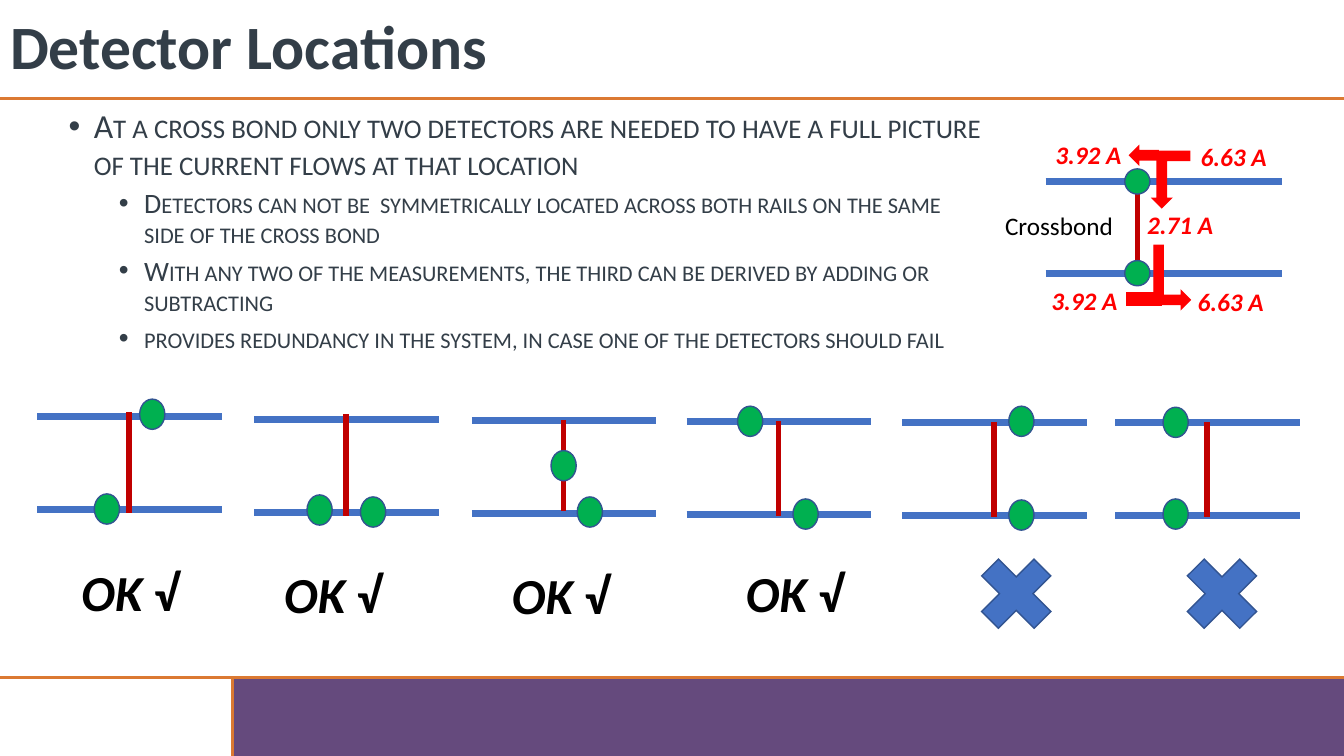
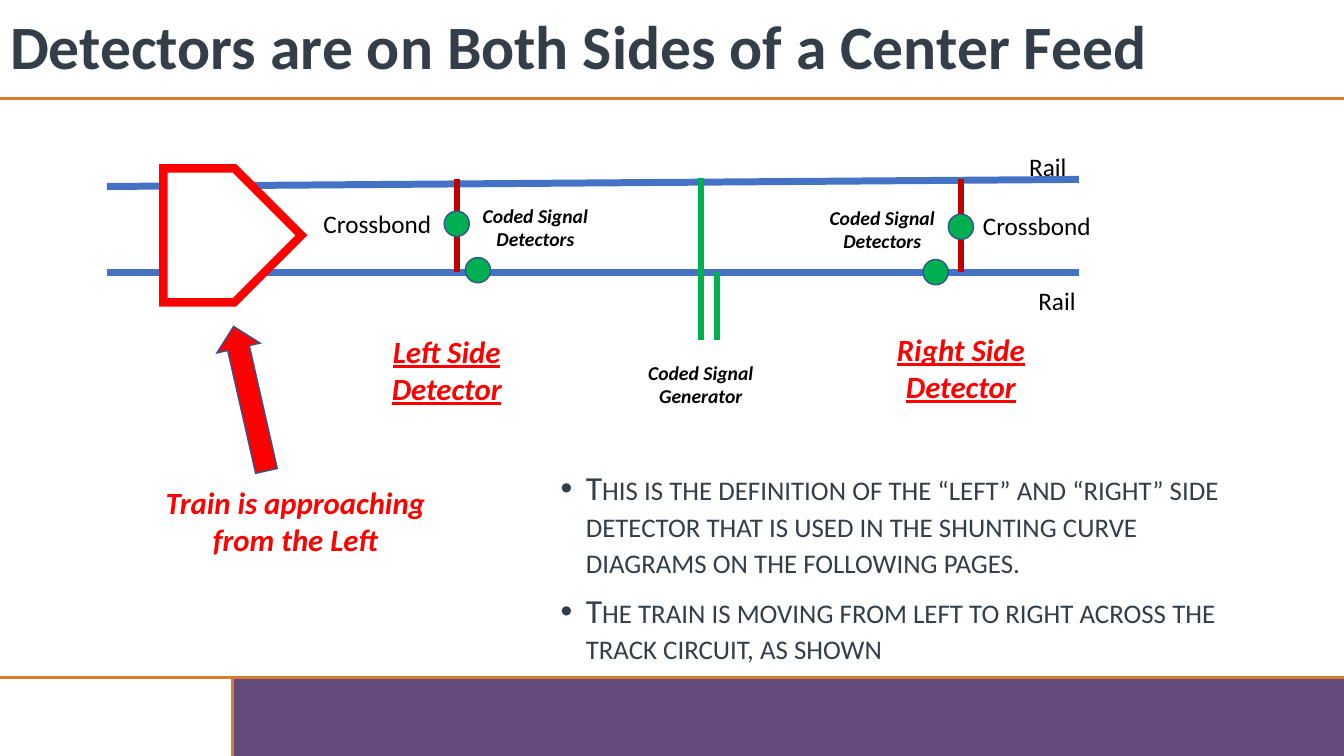
from lxml.etree import SubElement
from pptx import Presentation
from pptx.dml.color import RGBColor
from pptx.enum.shapes import MSO_CONNECTOR, MSO_SHAPE as SHAPE
from pptx.enum.text import MSO_ANCHOR, MSO_AUTO_SIZE, PP_ALIGN as ALIGN
from pptx.oxml.ns import qn
from pptx.util import Pt

PX = 9144  # 100 px to the inch
WIDTH, HEIGHT = 1333, 750
FONT = "Calibri"

WHITE = RGBColor(0xFF, 0xFF, 0xFF)
BLACK = RGBColor(0x00, 0x00, 0x00)
SLATE = RGBColor(0x33, 0x3E, 0x48)
PURPLE = RGBColor(0x65, 0x4A, 0x7D)
ORANGE = RGBColor(0xDB, 0x79, 0x32)
BLUE = RGBColor(0x44, 0x72, 0xC4)
NAVY = RGBColor(0x32, 0x54, 0x91)
GREEN = RGBColor(0x00, 0xB0, 0x50)
DARK_RED = RGBColor(0xC0, 0x00, 0x00)
RED = RGBColor(0xFF, 0x00, 0x00)

RAIL_PT, BOND_PT, RULE_PT = 5, 4, 2.25

# Shared frame
FOOTER_BAND = (230, 672, 1104, 78)
RULES = [(0, 98, WIDTH, 98), (231, 672, 231, HEIGHT), (0, 672, WIDTH, 672)]
TITLE_BOX = (0, 0, WIDTH, 99)

# Bullet levels: size, left margin px, space before pt
LEVELS = [(24, 25, 10), (20, 75, 5)]
HANGING = 25

# Slide 1
LOCATIONS_TITLE = "Detector Locations"
LOCATIONS_BOX = (58, 104, 927, 253)
LOCATIONS_BULLETS = [
    (0, "At a cross bond only two detectors are needed to have a full picture "
        "of the current flows at that location"),
    (1, "Detectors can not be  symmetrically located across both rails on the "
        "same side of the cross bond"),
    (1, "With any two of the measurements, the third can be derived by adding "
        "or subtracting"),
    (1, "provides redundancy in the system, in case one of the detectors "
        "should fail"),
]
CASE_RAIL, CASE_GAUGE = 183, 92
# Rail left and top; bond ends below the top rail; detector centres measured
# from the top of the bond; verdict and its place
CASES = [
    (37, 413, (-4, 96), [(-22, 92), (23, -2)], True, (71, 552)),
    (252, 416, (-5, 96), [(27, 92), (-26, 90)], True, (272, 554)),
    (468, 417, (0, 90), [(26, 91), (0, 45)], True, (498, 555)),
    (681, 418, (0, 94), [(27, 92), (-28, 0)], True, (730, 553)),
    (895, 419, (0, 94), [(27, 92), (27, -1)], False, (958, 539)),
    (1106, 419, (0, 94), [(-31, 91), (-31, 0)], False, (1162, 539)),
]
FLOW_RAILS = (180, 271)
FLOW_LEFT, FLOW_RIGHT, FLOW_BOND = 1037, 1272, 1128
CURRENTS = [("2.71 A", 1128, 203), ("6.63 A", 1181, 135), ("6.63 A", 1178, 279),
            ("3.92 A", 1033, 278), ("3.92 A", 1037, 133)]
FLOW_ARROWS = [
    (SHAPE.UP_ARROW, (1124, 139, 21, 30), 270),
    (SHAPE.BENT_UP_ARROW, (1143, 150, 37, 56), 180),
    (SHAPE.BENT_UP_ARROW, (1131, 257, 63, 36), 90),
    (SHAPE.RECTANGLE, (1117, 290, 35, 13), 0),
]

# Slide 2
FEED_TITLE = "Detectors are on Both Sides of a Center Feed"
FEED_BOX = (546, 463, 694, 191)
FEED_BULLETS = [
    (0, "This is the definition of the “left” and “right” side detector that "
        "is used in the shunting curve diagrams on the following pages."),
    (0, "The train is moving from left to right across the track circuit, "
        "as shown"),
]
FEED_LINES = [
    ((106, 185, 1070, 178), BLUE, RAIL_PT),
    ((106, 270, 1070, 270), BLUE, RAIL_PT),
    ((453, 178, 453, 270), DARK_RED, BOND_PT),
    ((953, 178, 953, 270), DARK_RED, BOND_PT),
    ((695, 177, 695, 337), GREEN, BOND_PT),
    ((711, 270, 711, 337), GREEN, BOND_PT),
]
FEED_DETECTORS = [(453, 222), (953, 225), (474, 268), (928, 270)]
PLAIN = dict(size=18)
CODED = dict(size=14, bold=True, italic=True, align=ALIGN.CENTER)
CALLOUT = dict(size=22, color=RED, bold=True, italic=True, align=ALIGN.CENTER)
SIDE = dict(CALLOUT, underline=True)
FEED_LABELS = [
    ("Rail", (1011, 145, 83, 40), PLAIN),
    ("Rail", (1020, 278, 83, 40), PLAIN),
    ("Crossbond", (965, 204, 132, 40), PLAIN),
    ("Crossbond", (311, 202, 132, 40), PLAIN),
    ("Coded Signal Generator", (629, 353, 132, 57), CODED),
    ("Coded Signal Detectors", (465, 197, 132, 57), CODED),
    ("Coded Signal Detectors", (809, 199, 132, 57), CODED),
    ("Left Side Detector", (377, 325, 132, 84), SIDE),
    ("Right Side Detector", (875, 323, 156, 84), SIDE),
    ("Train is approaching from the Left", (145, 475, 296, 84), CALLOUT),
]
TRAIN = (162, 167, 137, 133)
TRAIN_POINTER = (226, 322, 44, 147)


def emu(lengths):
    return [length * PX for length in lengths]


def place(shape, box):
    shape.left, shape.top, shape.width, shape.height = emu(box)


def line(slide, ends, color, weight):
    connector = slide.shapes.add_connector(MSO_CONNECTOR.STRAIGHT, *emu(ends))
    connector.line.color.rgb = color
    connector.line.width = Pt(weight)
    SubElement(connector._element.spPr, qn("a:effectLst"))
    return connector


def solid(slide, kind, box, fill, edge=None, weight=1, rotation=0):
    shape = slide.shapes.add_shape(kind, *emu(box))
    shape.shadow.inherit = False
    shape.rotation = rotation
    shape.fill.solid()
    shape.fill.fore_color.rgb = fill
    if edge is None:
        shape.line.fill.background()
    else:
        shape.line.color.rgb = edge
        shape.line.width = Pt(weight)
        SubElement(shape.line._get_or_add_ln(), qn("a:miter"), lim="800000")
    return shape


def detector(slide, x, y, height=25):
    """Green dot centred on x, y."""
    solid(slide, SHAPE.OVAL, (x - 12.5, y - height / 2, 25, height), GREEN, NAVY)


def style(paragraph, size, color=BLACK, bold=None, italic=None,
          underline=None, align=None):
    font = paragraph.font
    font.name, font.size, font.color.rgb = FONT, Pt(size), color
    font.bold, font.italic, font.underline = bold, italic, underline
    paragraph.alignment = align


def label(slide, text, box, **look):
    frame = slide.shapes.add_textbox(*emu(box)).text_frame
    frame.word_wrap = True
    frame.auto_size = MSO_AUTO_SIZE.SHAPE_TO_FIT_TEXT
    paragraph = frame.paragraphs[0]
    paragraph.add_run().text = text
    style(paragraph, **look)
    return paragraph


def frame_layout(layout, slide):
    """Draw band and rules on the slide, then move them to its layout."""
    parts = [solid(slide, SHAPE.RECTANGLE, FOOTER_BAND, PURPLE)]
    parts += [line(slide, ends, ORANGE, RULE_PT) for ends in RULES]
    for number, part in enumerate(parts, 101):
        part._element._nvXxPr.cNvPr.set("id", str(number))
        layout.shapes._spTree.append(part._element)


def fill_bullets(body, box, bullets):
    place(body, box)
    frame = body.text_frame
    frame.auto_size = MSO_AUTO_SIZE.NONE
    for index, (level, text) in enumerate(bullets):
        paragraph = frame.add_paragraph() if index else frame.paragraphs[0]
        size, margin, before = LEVELS[level]
        paragraph.text = text
        paragraph.level = level
        paragraph.line_spacing = 0.9
        paragraph.space_before = Pt(before)
        style(paragraph, size, SLATE)
        properties = paragraph._p.get_or_add_pPr()
        properties.set("marL", str(margin * PX))
        properties.set("indent", str(-HANGING * PX))
        default_run = properties.find(qn("a:defRPr"))
        default_run.set("cap", "small")
        bullet = SubElement(properties, qn("a:buChar"), char="•")
        default_run.addprevious(bullet)


def new_slide(deck, layout, title, box, bullets):
    slide = deck.slides.add_slide(layout)
    heading = slide.shapes.title
    heading.text_frame.text = title
    heading.text_frame.auto_size = MSO_AUTO_SIZE.NONE
    heading.text_frame.vertical_anchor = MSO_ANCHOR.MIDDLE
    paragraph = heading.text_frame.paragraphs[0]
    paragraph.line_spacing = 0.9
    style(paragraph, 44, SLATE, bold=True, align=ALIGN.LEFT)
    fill_bullets(slide.placeholders[1], box, bullets)
    return slide


def draw_case(slide, left, top, bond_ends, detectors, allowed, verdict_at):
    for y in (top, top + CASE_GAUGE):
        line(slide, (left, y, left + CASE_RAIL, y), BLUE, RAIL_PT)
    bond = left + CASE_RAIL // 2
    start, end = bond_ends
    line(slide, (bond, top + start, bond, top + end), DARK_RED, BOND_PT)
    for dx, dy in detectors:
        detector(slide, bond + dx, top + dy, 30)
    if allowed:
        verdict = label(slide, "OK ", (*verdict_at, 134, 71), size=36, bold=True)
        verdict.runs[0].font.italic = True
        verdict.add_run().text = "√"
    else:
        solid(slide, SHAPE.MATH_MULTIPLY, (*verdict_at, 100, 100), BLUE, NAVY)


def draw_current_flow(slide):
    for y in FLOW_RAILS:
        line(slide, (FLOW_LEFT, y, FLOW_RIGHT, y), BLUE, RAIL_PT)
    upper, lower = FLOW_RAILS
    line(slide, (FLOW_BOND, upper, FLOW_BOND, lower), DARK_RED, BOND_PT)
    label(slide, "Crossbond", (987, 204, 131, 40), **PLAIN)
    for y in FLOW_RAILS:
        detector(slide, FLOW_BOND, y)
    for amps, x, y in CURRENTS:
        label(slide, amps, (x, y, 95, 40), size=18, color=RED,
              bold=True, italic=True)
    for kind, box, rotation in FLOW_ARROWS:
        edge = None if kind == SHAPE.UP_ARROW else RED
        solid(slide, kind, box, RED, edge, rotation=rotation)


def draw_center_feed(slide):
    for ends, color, weight in FEED_LINES:
        line(slide, ends, color, weight)
    for x, y in FEED_DETECTORS:
        detector(slide, x, y)
    solid(slide, SHAPE.PENTAGON, TRAIN, WHITE, RED, weight=6)
    for text, box, look in FEED_LABELS:
        label(slide, text, box, **look)
    solid(slide, SHAPE.UP_ARROW, TRAIN_POINTER, RED, NAVY, rotation=347.2)


def main():
    deck = Presentation()
    deck.slide_width, deck.slide_height = emu((WIDTH, HEIGHT))
    layout = deck.slide_layouts[1]
    place(layout.placeholders[0], TITLE_BOX)

    locations = new_slide(deck, layout, LOCATIONS_TITLE, LOCATIONS_BOX,
                          LOCATIONS_BULLETS)
    frame_layout(layout, locations)
    for case in CASES:
        draw_case(locations, *case)
    draw_current_flow(locations)

    feed = new_slide(deck, layout, FEED_TITLE, FEED_BOX, FEED_BULLETS)
    draw_center_feed(feed)
    deck.save("out.pptx")


if __name__ == "__main__":
    main()
